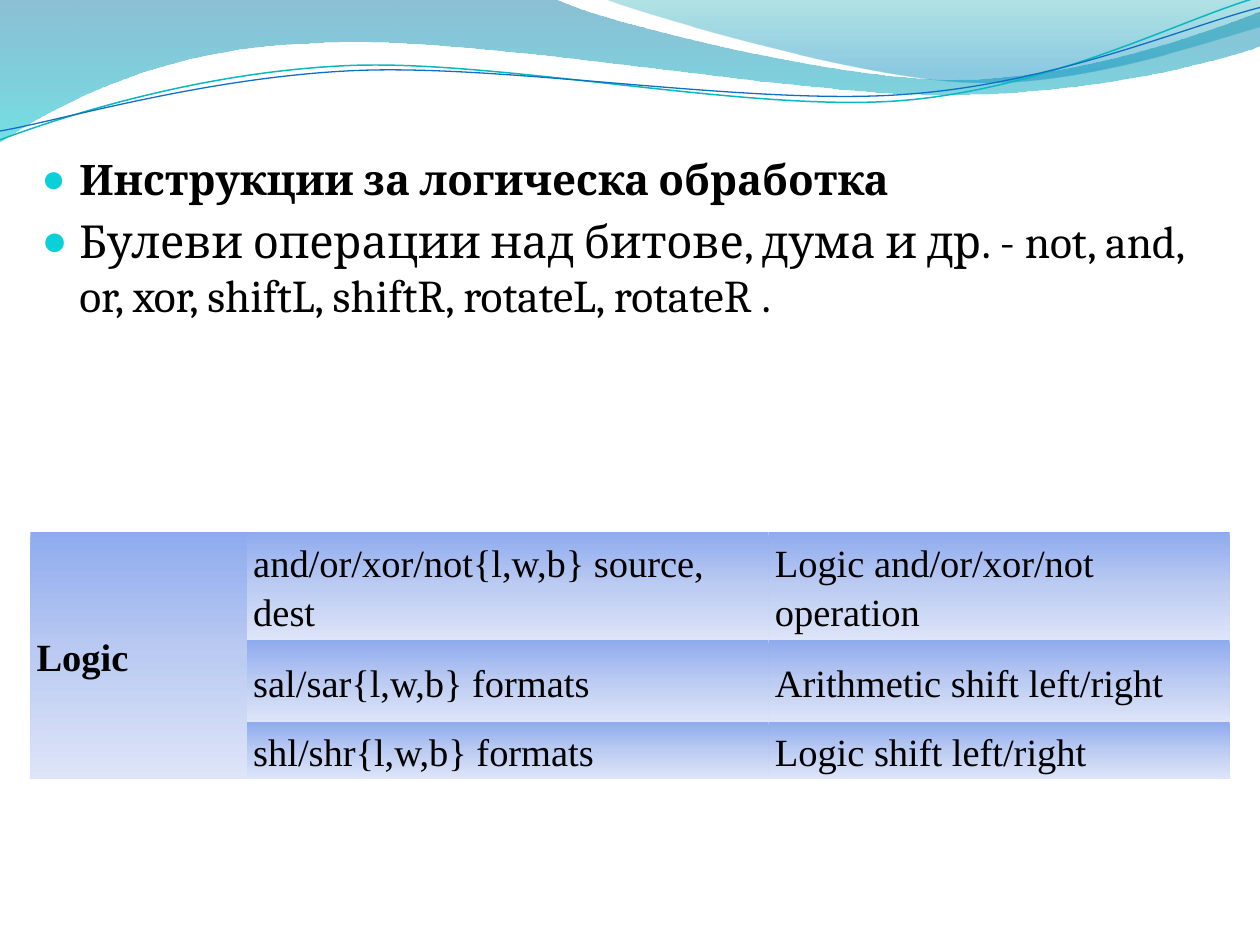
import math

from lxml import etree
from pptx import Presentation
from pptx.dml.color import RGBColor
from pptx.enum import text
from pptx.oxml import ns
from pptx.util import Inches, Pt

COLORS = {
    "text": "000000", "bullet": "0BD0D9",
    "teal_line": "0AB8BF", "blue_line": "0F6FC6",
    "deep_blue": "0074A1", "cyan": "00C6CF",
    "deep_teal": "00A1A9", "sky": "008BBF",
    "cell_top": "8EABEE", "cell_middle": "BBCBF2", "cell_bottom": "DEE5F8",
}
CELL_STOPS = [(0, "cell_top", 100), (50, "cell_middle", 100), (100, "cell_bottom", 100)]
NO_STYLE = "{2D5ABB26-0587-4C30-8999-92F81FD0307C}"
STRAND_TILT = -2.7

# Each wave: start point, then segments of one end point (line)
# or two control points and an end point (curve).
BANDS = [
    ([(0, 0), [(4.4, -0.01)],
      [(4.76, 0.17), (6.64, 0.63), (7.58, 0.63)],
      [(8.53, 0.63), (9.58, 0.26), (10, 0.09)],
      [(10.01, 0.36)],
      [(9.83, 0.44), (8.7, 0.76), (7.46, 0.75)],
      [(6.22, 0.75), (3.82, 0.28), (2.57, 0.34)],
      [(1.29, 0.36), (0.46, 0.83), (-0.01, 1.13)],
      [(0, 0)]],
     [(0, "deep_blue", 45), (100, "cyan", 55)]),
    ([(4.79, -0.01),
      [(5.09, 0.11), (6.82, 0.62), (7.69, 0.65)],
      [(8.56, 0.69), (9.61, 0.32), (10, 0.21)],
      [(10, 0)],
      [(4.79, -0.01)]],
     [(0, "deep_teal", 30), (80, "sky", 45)]),
]
# Strands also have the centre they are tilted about.
STRANDS = [
    ([(0, 1.11),
      [(0.48, 0.93), (1.58, 0.57), (2.77, 0.52)],
      [(3.95, 0.47), (5.93, 0.89), (7.13, 0.8)],
      [(8.33, 0.71), (9.38, 0.15), (9.98, -0.02)]], (4.99, 0.58), "teal_line", 0.85),
    ([(0, 1.04),
      [(0.47, 0.96), (1.64, 0.61), (2.83, 0.56)],
      [(4.03, 0.51), (5.97, 0.84), (7.17, 0.75)],
      [(8.36, 0.67), (9.41, 0.21), (10, 0.06)]], (5, 0.59), "blue_line", 0.75),
]
BULLETS = [("Инструкции за логическа обработка", 24, True),
           ("Булеви операции над битове, дума и др. - not, and, or, xor, "
            "shiftL, shiftR, rotateL, rotateR .", 26, False)]
INSTRUCTIONS = [
    ("Logic", "and/or/xor/not{l,w,b} source, dest", "Logic and/or/xor/not operation"),
    ("", "sal/sar{l,w,b} formats", "Arithmetic shift left/right"),
    ("", "shl/shr{l,w,b} formats", "Logic shift left/right"),
]


def rgb(name):
    return RGBColor.from_string(COLORS[name])


def add_child(parent, tag, **attributes):
    child = etree.SubElement(parent, ns.qn(tag))
    for key, value in attributes.items():
        child.set(key, str(value))
    return child


def gradient_fill(stops):
    """Return a top-to-bottom gradient from (position, colour, opacity) stops."""
    fill = etree.Element(ns.qn("a:gradFill"), rotWithShape="1")
    stop_list = add_child(fill, "a:gsLst")
    for position, name, opacity in stops:
        stop = add_child(stop_list, "a:gs", pos=position * 1000)
        color = add_child(stop, "a:srgbClr", val=COLORS[name])
        if opacity < 100:
            add_child(color, "a:alpha", val=opacity * 1000)
    add_child(fill, "a:lin", ang=5400000, scaled=0)
    return fill


def format_text(para, font, size, bold):
    for span in para.runs:
        span.font.name, span.font.size, span.font.bold = font, Pt(size), bold
        span.font.color.rgb = rgb("text")


def turn(point, center, degrees):
    angle = math.radians(degrees)
    dx, dy = point[0] - center[0], point[1] - center[1]
    return (center[0] + dx * math.cos(angle) - dy * math.sin(angle),
            center[1] + dx * math.sin(angle) + dy * math.cos(angle))


def add_wave(page, left, top, outline, close):
    """Draw the outline as straight lines, then join triples into curves."""
    start, *segments = outline
    builder = page.shapes.build_freeform(Inches(start[0]), Inches(start[1]))
    points = [(Inches(x), Inches(y)) for segment in segments for x, y in segment]
    builder.add_line_segments(points, close=close)
    wave = builder.convert_to_shape(left, top)
    wave.shadow.inherit = False
    lines = iter(wave._element.findall(".//" + ns.qn("a:lnTo")))
    for segment in segments:
        members = [next(lines) for _ in segment]
        if len(members) == 3:
            curve = etree.Element(ns.qn("a:cubicBezTo"))
            members[0].addprevious(curve)
            for line in members:
                curve.append(line[0])
                line.getparent().remove(line)
    return wave


def add_waves(page, left, top):
    for outline, stops in BANDS:
        band = add_wave(page, left, top, outline, True)
        band.line.fill.background()
        geometry = band._element.spPr.find(ns.qn("a:custGeom"))
        geometry.addnext(gradient_fill(stops))
    for (start, *curves), center, color, width in STRANDS:
        level = [turn(start, center, -STRAND_TILT)]
        level += [[turn(point, center, -STRAND_TILT) for point in curve] for curve in curves]
        strand = add_wave(page, left, top, level, False)
        strand.rotation = STRAND_TILT
        strand.fill.background()
        strand.line.color.rgb = rgb(color)
        strand.line.width = Pt(width)


def fill_body(body, left, top, width, height):
    body.left, body.top, body.width, body.height = left, top, width, height
    frame = body.text_frame
    frame.auto_size = text.MSO_AUTO_SIZE.NONE
    frame.word_wrap = True
    frame.vertical_anchor = text.MSO_ANCHOR.TOP
    frame.text = "\n".join(words for words, _, _ in BULLETS)
    for index, (para, (_, size, bold)) in enumerate(zip(frame.paragraphs, BULLETS)):
        properties = para._p.get_or_add_pPr()
        properties.set("marL", str(Inches(0.3)))
        properties.set("indent", str(-Inches(0.3)))
        color = add_child(properties, "a:buClr")
        add_child(color, "a:srgbClr", val=COLORS["bullet"])
        add_child(properties, "a:buSzPct", val=95000)
        add_child(properties, "a:buChar", char="●")
        para.space_before = Pt(5 if index else 0)
        format_text(para, "Cambria", size, bold)


def add_instruction_table(page, left, top, width, height):
    frame = page.shapes.add_table(3, 3, left, top, width, height)
    table = frame.table
    table.first_row = table.horz_banding = False
    table._tbl.tblPr.find(ns.qn("a:tableStyleId")).text = NO_STYLE
    for column, share in zip(table.columns, (1.72, 4.14, 3.66)):
        column.width = Inches(share)
    for row, share in zip(table.rows, (0.86, 0.65, 0.45)):
        row.height = Inches(share)
    table.cell(0, 0).merge(table.cell(2, 0))
    for row, words in enumerate(INSTRUCTIONS):
        for column, label in enumerate(words):
            cell = table.cell(row, column)
            cell.margin_left = cell.margin_right = Inches(0.01)
            cell.margin_top = cell.margin_bottom = Inches(0.01)
            cell.vertical_anchor = text.MSO_ANCHOR.MIDDLE
            cell._tc.get_or_add_tcPr().append(gradient_fill(CELL_STOPS))
            if not label:
                continue
            cell.text_frame.text = label
            para = cell.text_frame.paragraphs[0]
            para._p.get_or_add_pPr().set("marL", str(Inches(0.04)))
            para.line_spacing = 1.15
            para.space_after = Pt(5 if column else 0)
            format_text(para, "Times New Roman", 22, column == 0)


def main():
    deck = Presentation()
    deck.slide_width, deck.slide_height = Inches(10), Inches(7.5)
    page = deck.slides.add_slide(deck.slide_layouts.get_by_name("Title and Content"))
    title, body = page.shapes.title, page.placeholders[1]
    title._element.getparent().remove(title._element)
    add_waves(page, Inches(0), Inches(0))
    page.shapes._spTree.append(body._element)
    fill_body(body, Inches(0.23), Inches(1.17), Inches(9.38), Inches(2.73))
    add_instruction_table(page, Inches(0.24), Inches(4.22), Inches(9.52), Inches(1.96))
    deck.save("out.pptx")


if __name__ == "__main__":
    main()
